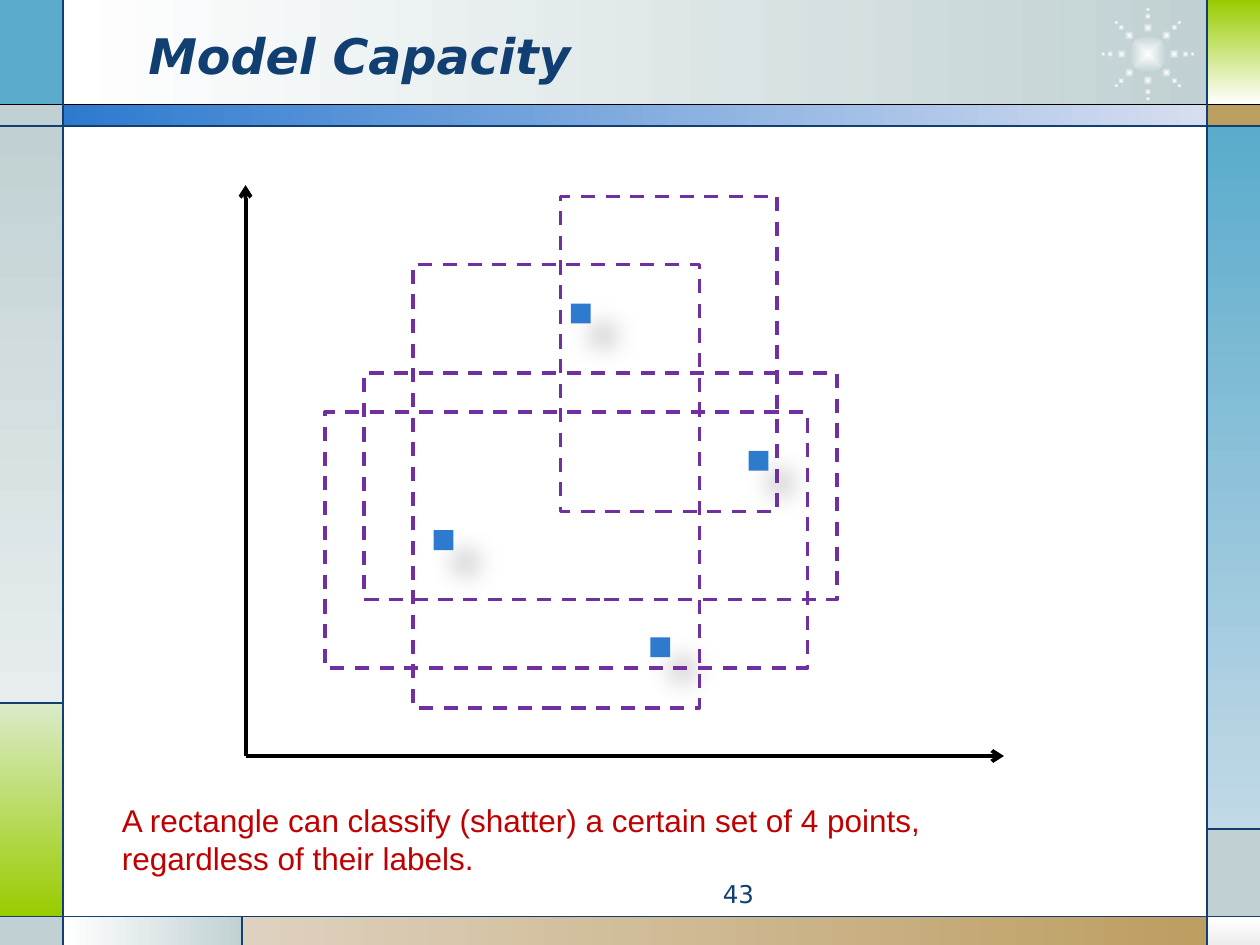
import math

from lxml import etree
from pptx import Presentation
from pptx import util as u
from pptx.dml.color import RGBColor
from pptx.enum import dml, shapes, text
from pptx.oxml import ns, parse_xml

WIDTH, HEIGHT = 25.4, 19.05
LEFT, RIGHT = 1.27, 24.33
TOP, BAR, BOTTOM = 2.11, 2.54, 18.47
GREEN_TOP, GREY_TOP, FOOT_SPLIT = 14.17, 16.71, 4.88
NAVY, BLUE, PURPLE, RED = "113F71", "2D7ACF", "7030A0", "C00000"
GREY, SKY, TAN, LIME, WHITE, BLACK = "C1D1D3", "5AABCC", "BD9E61", "99CC00", "FFFFFF", "000000"
ACROSS, DOWN = 0, 270

BANDS = [
    (LEFT, 0, RIGHT, TOP, (WHITE, GREY), ACROSS),
    (0, 0, LEFT, TOP, (SKY,), None),
    (0, TOP, LEFT, BAR, (GREY,), None),
    (0, BAR, LEFT, GREEN_TOP, (GREY, "E7EDEE"), DOWN),
    (0, GREEN_TOP, LEFT, BOTTOM, ("DBEBC9", LIME), DOWN),
    (0, BOTTOM, LEFT, HEIGHT, (GREY,), None),
    (LEFT, BOTTOM, FOOT_SPLIT, HEIGHT, (WHITE, GREY), ACROSS),
    (FOOT_SPLIT, BOTTOM, RIGHT, HEIGHT, ("DED1BF", TAN), ACROSS),
    (RIGHT, BOTTOM, WIDTH, HEIGHT, (WHITE, "EDEDED"), DOWN),
    (RIGHT, GREY_TOP, WIDTH, BOTTOM, (GREY,), None),
    (RIGHT, BAR, WIDTH, GREY_TOP, (SKY, "C2D9E7"), DOWN),
    (RIGHT, TOP, WIDTH, BAR, (TAN,), None),
    (RIGHT, 0, WIDTH, TOP, (LIME, WHITE), DOWN),
    (LEFT, TOP, RIGHT, BAR, (BLUE, "D7DEF0"), ACROSS),
]
RULES = [
    (0, TOP, WIDTH, TOP, BLACK),
    (0, BAR, WIDTH, BAR, NAVY),
    (0, BOTTOM, WIDTH, BOTTOM, NAVY),
    (LEFT, 0, LEFT, HEIGHT, NAVY),
    (RIGHT, 0, RIGHT, HEIGHT, NAVY),
    (0, GREEN_TOP, LEFT, GREEN_TOP, NAVY),
    (FOOT_SPLIT, BOTTOM, FOOT_SPLIT, HEIGHT, NAVY),
    (RIGHT, GREY_TOP, WIDTH, GREY_TOP, NAVY),
]
POINTS = [(11.51, 6.12), (15.09, 9.09), (13.11, 12.85), (8.74, 10.69)]
CLASSIFIERS = [
    (7.34, 7.52, 9.53, 4.57),
    (8.33, 5.33, 5.77, 8.94),
    (6.55, 8.31, 9.73, 5.16),
    (11.3, 3.96, 4.37, 6.35),
]


def color(value):
    return RGBColor.from_string(value)


def add_shape(slide, kind, left, top, width, height):
    shape = slide.shapes.add_shape(kind, u.Cm(left), u.Cm(top), u.Cm(width), u.Cm(height))
    shape.shadow.inherit = False
    shape.line.fill.background()
    return shape


def fill_solid(shape, value):
    shape.fill.solid()
    shape.fill.fore_color.rgb = color(value)


def fill_gradient(shape, values, angle):
    shape.fill.gradient()
    shape.fill.gradient_angle = angle
    for stop, position, value in zip(shape.fill.gradient_stops, (0, 1), values):
        stop.position = position
        stop.color.rgb = color(value)


def add_band(slide, left, top, right, bottom, values, angle):
    shape = add_shape(slide, shapes.MSO_SHAPE.RECTANGLE, left, top, right - left, bottom - top)
    if angle is None:
        fill_solid(shape, values[0])
    else:
        fill_gradient(shape, values, angle)


def add_glow(slide, x, y, size):
    shape = add_shape(slide, shapes.MSO_SHAPE.OVAL, x - size / 2, y - size / 2, size, size)
    fill_gradient(shape, (WHITE, GREY), ACROSS)
    linear = next(shape.element.spPr.iter(ns.qn("a:lin")))
    radial = parse_xml(
        f'<a:path {ns.nsdecls("a")} path="shape">'
        '<a:fillToRect l="50000" t="50000" r="50000" b="50000"/></a:path>'
    )
    linear.getparent().replace(linear, radial)


def add_sunburst(slide, x, y):
    add_glow(slide, x, y, 0.76)
    for ray in range(8):
        angle = ray * math.pi / 4
        for radius, size in ((0.53, 0.19), (0.76, 0.13), (0.9, 0.09)):
            add_glow(slide, x + radius * math.cos(angle), y + radius * math.sin(angle), size)


def add_line(slide, x1, y1, x2, y2, value, width=0.75, arrow=False):
    line = slide.shapes.add_connector(
        shapes.MSO_CONNECTOR.STRAIGHT, u.Cm(x1), u.Cm(y1), u.Cm(x2), u.Cm(y2)
    )
    line.line.color.rgb = color(value)
    line.line.width = u.Pt(width)
    properties = line.element.spPr
    if arrow:
        etree.SubElement(properties.find(ns.qn("a:ln")), ns.qn("a:tailEnd"), type="arrow")
    etree.SubElement(properties, ns.qn("a:effectLst"))


def add_point(slide, left, top):
    shape = add_shape(slide, shapes.MSO_SHAPE.RECTANGLE, left, top, 0.4, 0.4)
    fill_solid(shape, BLUE)
    shape.element.spPr.find(ns.qn("a:effectLst")).append(parse_xml(
        f'<a:outerShdw {ns.nsdecls("a")} blurRad="{u.Pt(15)}" dist="{u.Pt(18)}" dir="2700000"'
        ' algn="tl" rotWithShape="0"><a:srgbClr val="000000"><a:alpha val="30000"/>'
        "</a:srgbClr></a:outerShdw>"
    ))


def add_classifier(slide, left, top, width, height):
    shape = add_shape(slide, shapes.MSO_SHAPE.RECTANGLE, left, top, width, height)
    shape.fill.background()
    shape.line.color.rgb = color(PURPLE)
    shape.line.width = u.Pt(2)
    shape.line.dash_style = dml.MSO_LINE.DASH


def add_text(slide, box, lines, font, size, value, strong=False,
             align=text.PP_ALIGN.LEFT, anchor=text.MSO_ANCHOR.TOP):
    frame = slide.shapes.add_textbox(*(u.Cm(length) for length in box)).text_frame
    frame.word_wrap = True
    frame.vertical_anchor = anchor
    for index, line in enumerate(lines):
        paragraph = frame.add_paragraph() if index else frame.paragraphs[0]
        paragraph.alignment = align
        run = paragraph.add_run()
        run.text = line
        run.font.name = font
        run.font.size = u.Pt(size)
        run.font.bold = run.font.italic = strong
        run.font.color.rgb = color(value)


def main():
    presentation = Presentation()
    presentation.slide_width, presentation.slide_height = u.Cm(WIDTH), u.Cm(HEIGHT)
    slide = presentation.slides.add_slide(presentation.slide_layouts[6])

    for band in BANDS:
        add_band(slide, *band)
    add_sunburst(slide, 23.14, 1.09)
    for rule in RULES:
        add_line(slide, *rule)

    add_text(slide, (2.74, 0.33, 18.62, 1.57), ["Model Capacity"], "DejaVu Sans", 28, NAVY,
             strong=True, anchor=text.MSO_ANCHOR.MIDDLE)
    add_text(slide, (9.53, 17.6, 5.92, 0.69), ["43"], "DejaVu Sans", 14, NAVY,
             align=text.PP_ALIGN.RIGHT)

    for end in ((20.24, 15.24), (4.95, 3.73)):
        add_line(slide, 4.95, 15.24, *end, BLACK, 2.25, arrow=True)
    for point in POINTS:
        add_point(slide, *point)
    for classifier in CLASSIFIERS:
        add_classifier(slide, *classifier)

    add_text(slide, (2.21, 16.03, 21.49, 1.96), [
        "A rectangle can classify (shatter) a certain set of 4 points,",
        "regardless of their labels.",
    ], "Arial", 18, RED)
    presentation.save("out.pptx")


if __name__ == "__main__":
    main()
